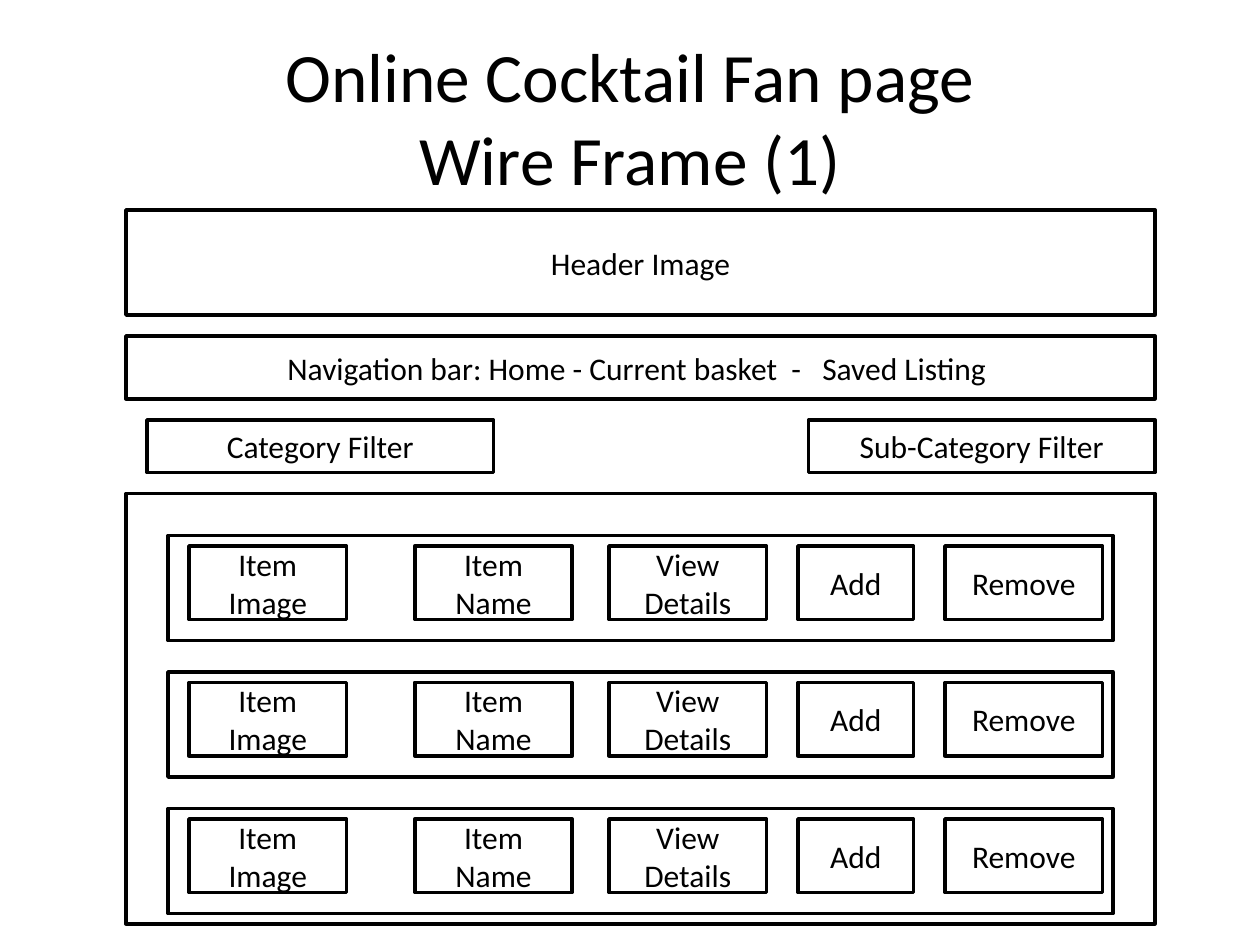
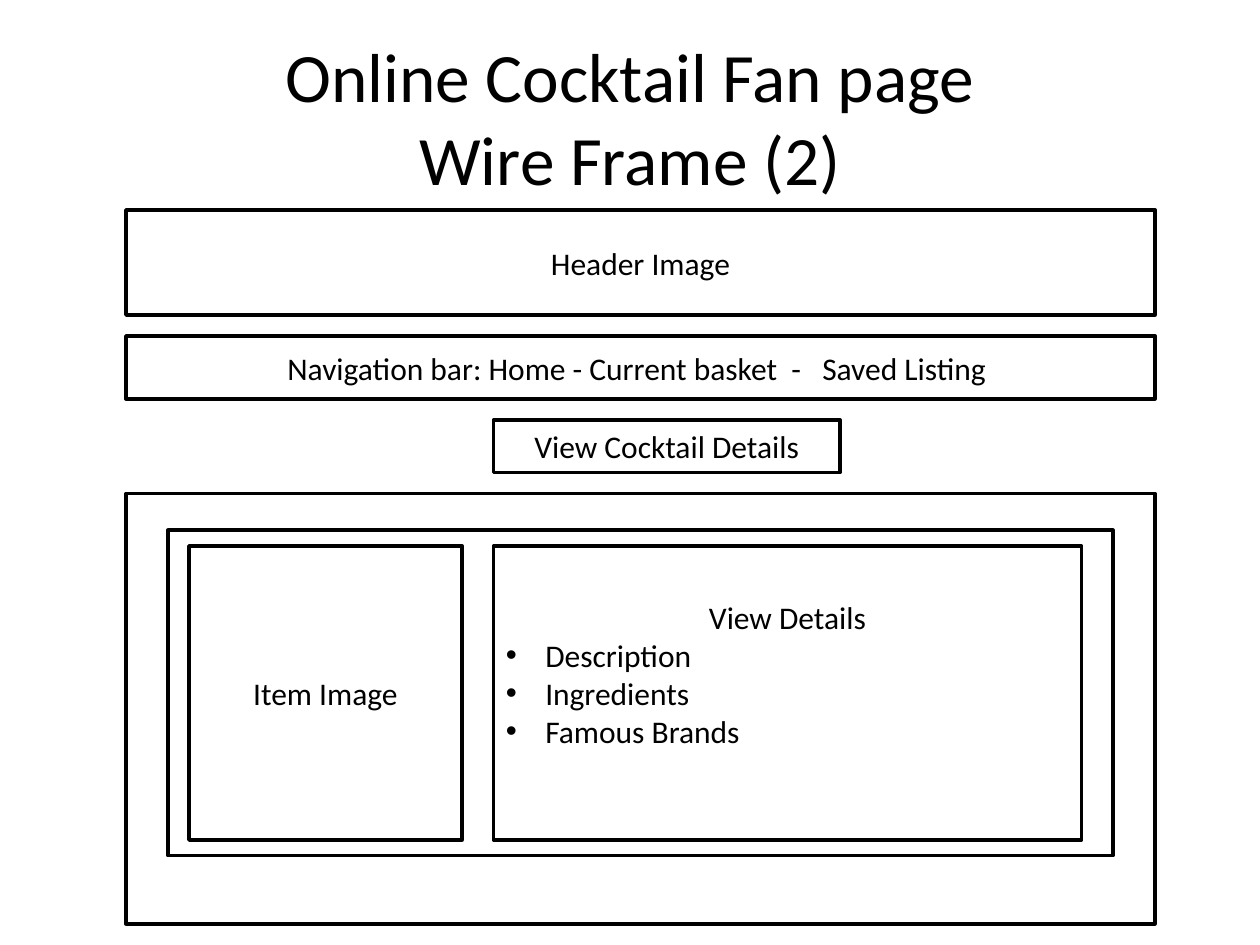
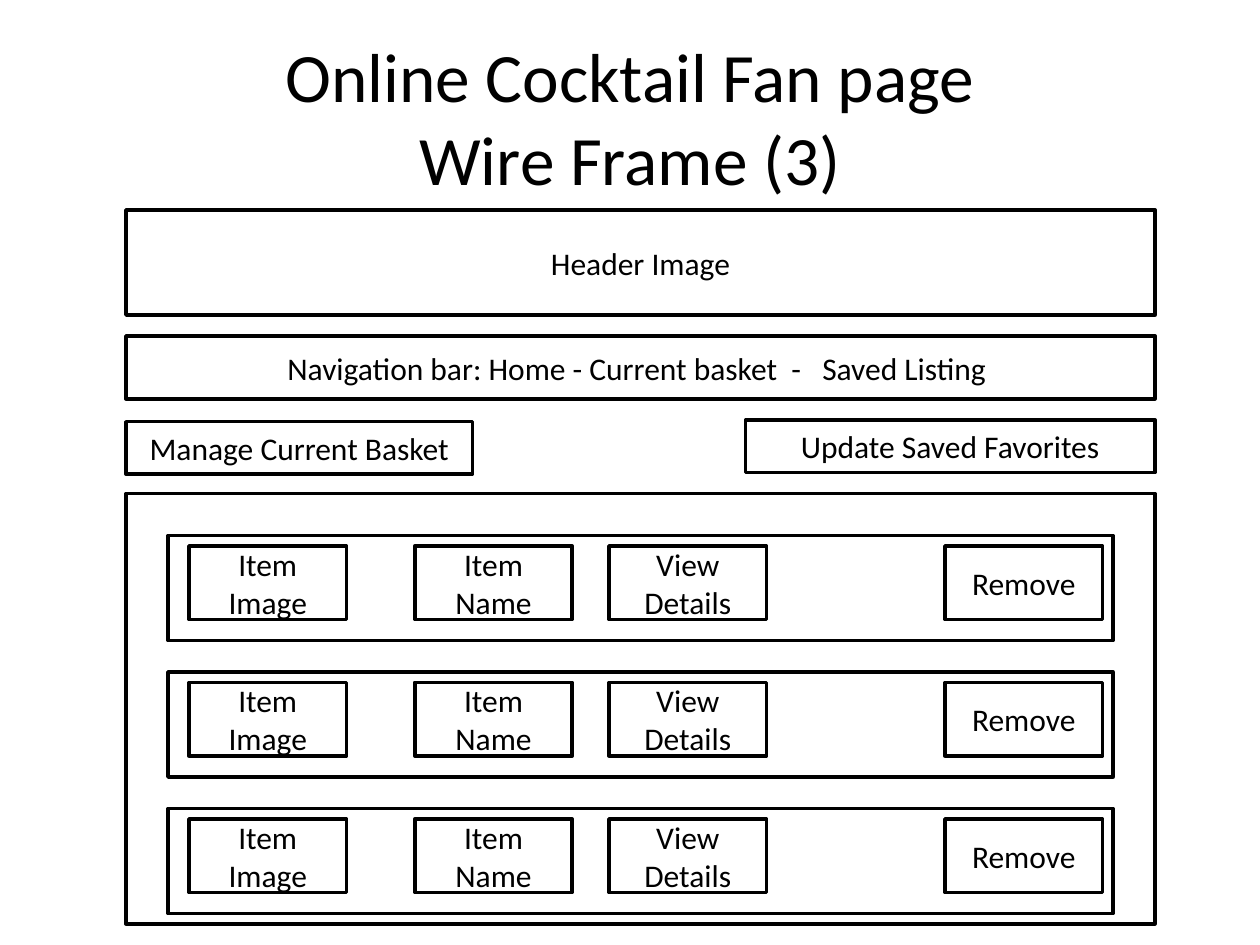
from lxml.etree import SubElement
from pptx import Presentation
from pptx.dml.color import RGBColor
from pptx.enum.shapes import MSO_SHAPE
from pptx.enum.text import MSO_ANCHOR, PP_ALIGN
from pptx.oxml.ns import qn
from pptx.util import Pt


class Deck:
    hues = {"ink": "000000", "paper": "FFFFFF"}
    font = "Calibri"
    left, width = 72, 588
    tabs = {
        "Item Image": (108, 90),
        "Item Name": (237, 90),
        "View Details": (348, 90),
        "Add": (456, 66),
        "Remove": (540, 90),
    }

    def __init__(self):
        self.file = Presentation()
        self.file.slide_width = Pt(720)
        self.file.slide_height = Pt(540)
        self.slide = None

    def hue(self, name):
        return RGBColor.from_string(self.hues[name])

    def style(self, frame, size):
        frame.word_wrap = True
        frame.vertical_anchor = MSO_ANCHOR.MIDDLE
        for para in frame.paragraphs:
            para.alignment = PP_ALIGN.CENTER
            for run in para.runs:
                run.font.name = self.font
                run.font.size = Pt(size)
                run.font.color.rgb = self.hue("ink")

    def title(self, text):
        area = self.slide.shapes.add_textbox(Pt(36), Pt(21.6), Pt(648), Pt(90))
        area.text_frame.text = text
        self.style(area.text_frame, 39.6)

    def box(self, x, y, w, h, text=""):
        shape = self.slide.shapes.add_shape(
            MSO_SHAPE.RECTANGLE, Pt(x), Pt(y), Pt(w), Pt(h))
        shape.shadow.inherit = False
        shape.fill.solid()
        shape.fill.fore_color.rgb = self.hue("paper")
        shape.line.color.rgb = self.hue("ink")
        shape.line.width = Pt(2)
        if text:
            shape.text_frame.text = text
            self.style(shape.text_frame, 18)
        return shape

    def label(self, x, text, w=198, y=240):
        self.box(x, y, w, 30, text)

    def page(self, num):
        self.slide = self.file.slides.add_slide(self.file.slide_layouts[6])
        self.box(self.left, 282, self.width, 246)
        self.title(f"Online Cocktail Fan page\vWire Frame ({num})")
        self.box(self.left, 120, self.width, 60, "Header Image")
        self.box(self.left, 192, self.width, 36,
                 "Navigation bar: Home - Current basket  -   Saved Listing ")

    def rows(self, skip=()):
        for step in range(3):
            y = 306 + 78 * step
            self.box(96, y, 540, 60)
            for name, (x, w) in self.tabs.items():
                if name not in skip:
                    self.box(x, y + 6, w, 42, name)

    def bullet(self, para):
        para.alignment = PP_ALIGN.LEFT
        props = para._p.get_or_add_pPr()
        props.set("marL", str(Pt(22.5)))
        props.set("indent", str(-Pt(22.5)))
        SubElement(props, qn("a:buFont")).set("typeface", "Arial")
        SubElement(props, qn("a:buChar")).set("char", "•")

    def details(self):
        self.box(96, 303, 540, 186)
        self.box(108, 312, 156, 168, "Item Image")
        lines = ["View Details", "Description", "Ingredients", "Famous Brands"]
        frame = self.box(282, 312, 336, 168, "\n".join(lines)).text_frame
        frame.margin_bottom = Pt(25.5)
        for para in frame.paragraphs[1:]:
            self.bullet(para)


deck = Deck()

deck.page(1)
deck.label(84, "Category Filter")
deck.label(462, "Sub-Category Filter")
deck.rows()

deck.page(2)
deck.label(282, "View Cocktail Details")
deck.details()

deck.page(3)
deck.label(72, "Manage Current Basket", y=241)
deck.label(426, "Update Saved Favorites", w=234)
deck.rows(skip=("Add",))

deck.file.save("out.pptx")
